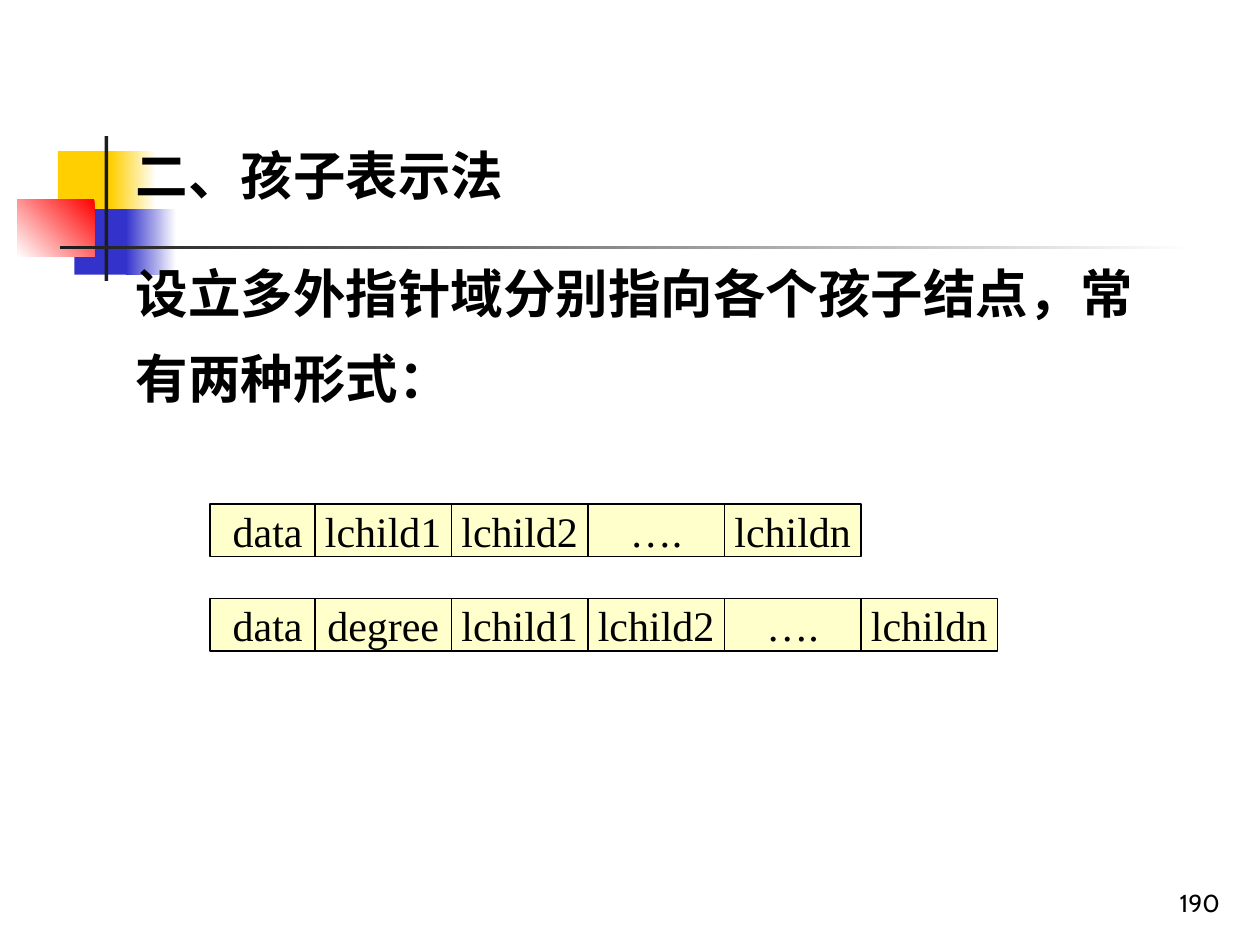
from pptx import Presentation
from pptx import util as u
from pptx.dml.color import RGBColor
from pptx.enum import shapes, text

COLORS = {
    "white": "FFFFFF", "black": "000000", "ink": "1C1C1C", "yellow": "FFCF01",
    "blue": "3333CC", "red": "FF0000", "cream": "FFFFCC",
}
SERIF = "Times New Roman"
WIDTH, HEIGHT = u.Inches(10), u.Inches(7.5)
UNIT = u.Inches(1) / 12  # grid step of the node diagrams


def rgb(name):
    return RGBColor.from_string(COLORS[name])


def share(left, top, width, height):
    """Turn percentages of the slide's size into a box in EMU."""
    return [round(v * side / 100) for v, side in
            zip((left, top, width, height), (WIDTH, HEIGHT) * 2)]


def grid(*cells):
    return [round(n * UNIT) for n in cells]


def add_rect(slide, box, fill):
    sp = slide.shapes.add_shape(shapes.MSO_SHAPE.RECTANGLE, *box)
    sp.shadow.inherit = False
    sp.line.fill.background()
    sp.fill.solid()
    sp.fill.fore_color.rgb = rgb(fill)
    return sp


def add_gradient(slide, box, start, end, angle):
    sp = add_rect(slide, box, start)
    sp.fill.gradient()
    sp.fill.gradient_angle = angle
    for stop, name in zip(sp.fill.gradient_stops, (start, end)):
        stop.color.rgb = rgb(name)


def style(p, size, font, bold=False):
    for r in p.runs:
        r.font.size = u.Pt(size)
        r.font.name = font
        r.font.bold = bold
        r.font.color.rgb = rgb("black")


def add_ornament(slide, left, top):
    """Overlapping squares with a vertical bar and a fading rule."""
    def at(x, y, w, h):
        return share(left + x, top + y, w, h)

    add_rect(slide, at(3.2, 1.6, 4.8, 6.93), "yellow")
    add_gradient(slide, at(7.4, 1.6, 3.6, 6.93), "white", "yellow", 180)
    add_rect(slide, at(4.5, 7.73, 4.6, 6.93), "blue")
    add_gradient(slide, at(8.6, 7.73, 4, 6.93), "white", "blue", 180)
    add_gradient(slide, at(0, 6.67, 6.1, 6.13), "red", "white", 225)
    add_rect(slide, at(6.9, 0, 0.3, 15.33), "ink")
    add_gradient(slide, at(3.4, 11.6, 90, 0.4), "white", "ink", 180)


def add_body(slide, box, lines):
    tf = slide.shapes.add_textbox(*box).text_frame
    tf.word_wrap = True
    tf.text = "\n".join(lines)
    for i, p in enumerate(tf.paragraphs):
        p.line_spacing = 1.35
        p.space_before = u.Pt(18.7 if i else 0)
        style(p, 30, SERIF, bold=True)


def add_node(slide, left, top, fields):
    """A row of fields; the first is narrower and runs under the second."""
    first, column, row, overlap = 11, 13, 5, 1
    for i, field in enumerate(fields):
        x = left + (first - overlap + (i - 1) * column if i else 0)
        sp = add_rect(slide, grid(x, top, column if i else first, row), "cream")
        sp.line.color.rgb = rgb("black")
        sp.line.width = u.Pt(0.75)
        tf = sp.text_frame
        tf.word_wrap = False
        tf.vertical_anchor = text.MSO_ANCHOR.MIDDLE
        tf.text = field
        p = tf.paragraphs[0]
        p.alignment = text.PP_ALIGN.CENTER
        style(p, 24, SERIF)


def add_page_number(slide, box, number):
    tf = slide.shapes.add_textbox(*box).text_frame
    tf.word_wrap = True
    tf.vertical_anchor = text.MSO_ANCHOR.BOTTOM
    tf.text = number
    p = tf.paragraphs[0]
    p.alignment = text.PP_ALIGN.RIGHT
    style(p, 14, "Cabin")


def main():
    prs = Presentation()
    prs.slide_width, prs.slide_height = WIDTH, HEIGHT
    slide = prs.slides.add_slide(prs.slide_layouts[6])
    add_ornament(slide, 1.4, 14.4)
    add_body(slide, share(9.8, 12.13, 85, 31.87),
             ["二、孩子表示法", "设立多外指针域分别指向各个孩子结点，常有两种形式："])
    children = ["lchild1", "lchild2", "….", "lchildn"]
    add_node(slide, 20, 48, ["data"] + children)
    add_node(slide, 20, 57, ["data", "degree"] + children)
    add_page_number(slide, share(77, 91.07, 20.8, 6.67), "190")
    prs.save("out.pptx")


if __name__ == "__main__":
    main()
